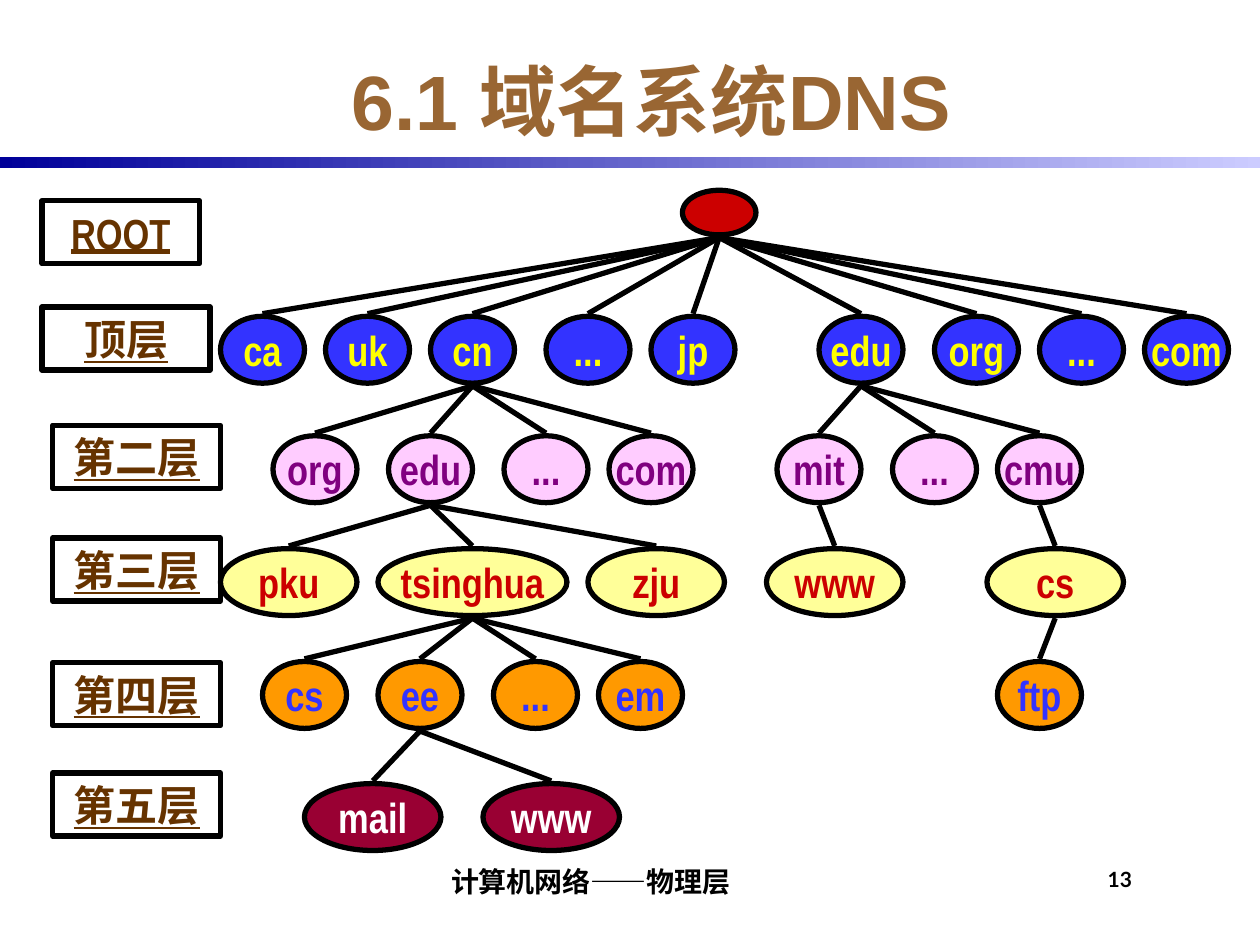
from dataclasses import dataclass

from lxml.etree import SubElement
from pptx import Presentation
from pptx.dml.color import RGBColor
from pptx.enum.shapes import MSO_CONNECTOR, MSO_SHAPE
from pptx.enum.text import MSO_ANCHOR, PP_ALIGN
from pptx.oxml.ns import qn
from pptx.util import Pt

PX = 9525


@dataclass(frozen=True)
class Theme:
    black: str = "000000"
    title: str = "996633"
    label: str = "663300"
    bar_start: str = "000099"
    bar_end: str = "CCCCFF"
    title_size: int = 44
    node_size: int = 24
    footer_size: int = 16
    number_size: int = 12
    stroke: int = 3
    title_font: str = "Arial"
    node_font: str = "Arial Narrow"
    footer_font: str = "Lato"


theme = Theme()


def write(shape, text, font, size, color, align=PP_ALIGN.CENTER, anchor=MSO_ANCHOR.MIDDLE, wrap=True):
    frame = shape.text_frame
    frame.word_wrap = wrap
    frame.vertical_anchor = anchor
    para = frame.paragraphs[0]
    para.text = text
    para.alignment = align
    para.font.name = font
    para.font.size = Pt(size)
    para.font.bold = True
    para.font.color.rgb = RGBColor.from_string(color)
    return para


def outlined(kind, left, top, width, height, fill=None):
    shape = page.shapes.add_shape(kind, left * PX, top * PX, width * PX, height * PX)
    shape.shadow.inherit = False
    if fill:
        shape.fill.solid()
        shape.fill.fore_color.rgb = RGBColor.from_string(fill)
    else:
        shape.fill.background()
    shape.line.color.rgb = RGBColor.from_string(theme.black)
    shape.line.width = Pt(theme.stroke)
    return shape


deck = Presentation()
deck.slide_width, deck.slide_height = 960 * PX, 720 * PX
page = deck.slides.add_slide(deck.slide_layouts[5])

bar = page.shapes.add_shape(MSO_SHAPE.RECTANGLE, 0, 120 * PX, 960 * PX, 8 * PX)
bar.shadow.inherit = False
bar.line.fill.background()
bar.fill.gradient()
bar.fill.gradient_angle = 0
for stop, color in zip(bar.fill.gradient_stops, (theme.bar_start, theme.bar_end)):
    stop.color.rgb = RGBColor.from_string(color)

title = page.shapes.title
title.left, title.top, title.width, title.height = 88 * PX, 32 * PX, 816 * PX, 88 * PX
write(title, "6.1 域名系统DNS", theme.title_font, theme.title_size, theme.title)

# Each level: top, height, fill, text colour, then nodes as (text, left, width, parent index).
levels = [
    (145, 34, "CC0000", "FFFFFF", [("", 520, 56, None)]),
    (241, 51, "3333FF", "FFFF00", [
        ("ca", 168, 64, 0), ("uk", 248, 64, 0), ("cn", 328, 64, 0),
        ("...", 416, 64, 0), ("jp", 496, 64, 0), ("edu", 624, 64, 0),
        ("org", 712, 64, 0), ("...", 792, 64, 0), ("com", 872, 64, 0)]),
    (332, 51, "FFCCFF", "800080", [
        ("org", 208, 64, 2), ("edu", 296, 64, 2), ("...", 384, 64, 2), ("com", 464, 64, 2),
        ("mit", 592, 64, 5), ("...", 680, 64, 5), ("cmu", 760, 64, 5)]),
    (418, 51, "FFFF99", "CC0000", [
        ("pku", 168, 104, 1), ("tsinghua", 288, 144, 1), ("zju", 448, 104, 1),
        ("www", 584, 104, 4), ("cs", 752, 104, 6)]),
    (504, 51, "FF9900", "3333FF", [
        ("cs", 200, 64, 1), ("ee", 288, 64, 1), ("...", 376, 64, 1), ("em", 456, 64, 1),
        ("ftp", 760, 64, 4)]),
    (597, 51, "990033", "FFFFFF", [("mail", 232, 104, 1), ("www", 368, 104, 1)]),
]
line_gap = 2
parent_exits = []
for top, height, fill, color, nodes in levels:
    exits = []
    for text, left, width, parent in nodes:
        node = outlined(MSO_SHAPE.OVAL, left, top, width, height, fill)
        if text:
            write(node, text, theme.node_font, theme.node_size, color, wrap=False)
        center = left + width // 2
        exits.append((center, top + height + line_gap))
        if parent is not None:
            start_x, start_y = parent_exits[parent]
            branch = page.shapes.add_connector(
                MSO_CONNECTOR.STRAIGHT, start_x * PX, start_y * PX, center * PX, (top - line_gap) * PX)
            branch.line.color.rgb = RGBColor.from_string(theme.black)
            branch.line.width = Pt(theme.stroke)
            SubElement(branch._element.spPr, qn("a:effectLst"))
    parent_exits = exits

labels = [
    ("ROOT", 32, 153, 120), ("顶层", 32, 234, 128), ("第二层", 40, 324, 128),
    ("第三层", 40, 410, 128), ("第四层", 40, 505, 128), ("第五层", 40, 589, 128),
]
for text, left, top, width in labels:
    box = outlined(MSO_SHAPE.RECTANGLE, left, top, width, 48)
    write(box, text, theme.node_font, theme.node_size, theme.label).font.underline = True

notes = [
    ("计算机网络——物理层", 200, 648, 496, theme.footer_size, PP_ALIGN.CENTER, MSO_ANCHOR.BOTTOM, (4, 0, 0, 4)),
    ("13", 840, 656, 56, theme.number_size, PP_ALIGN.LEFT, MSO_ANCHOR.TOP, (4, 4, 0, 0)),
]
for text, left, top, width, size, align, anchor, insets in notes:
    box = page.shapes.add_textbox(left * PX, top * PX, width * PX, 40 * PX)
    frame = box.text_frame
    frame.margin_left, frame.margin_top, frame.margin_right, frame.margin_bottom = [inset * PX for inset in insets]
    write(box, text, theme.footer_font, size, theme.black, align, anchor)

deck.save("out.pptx")
